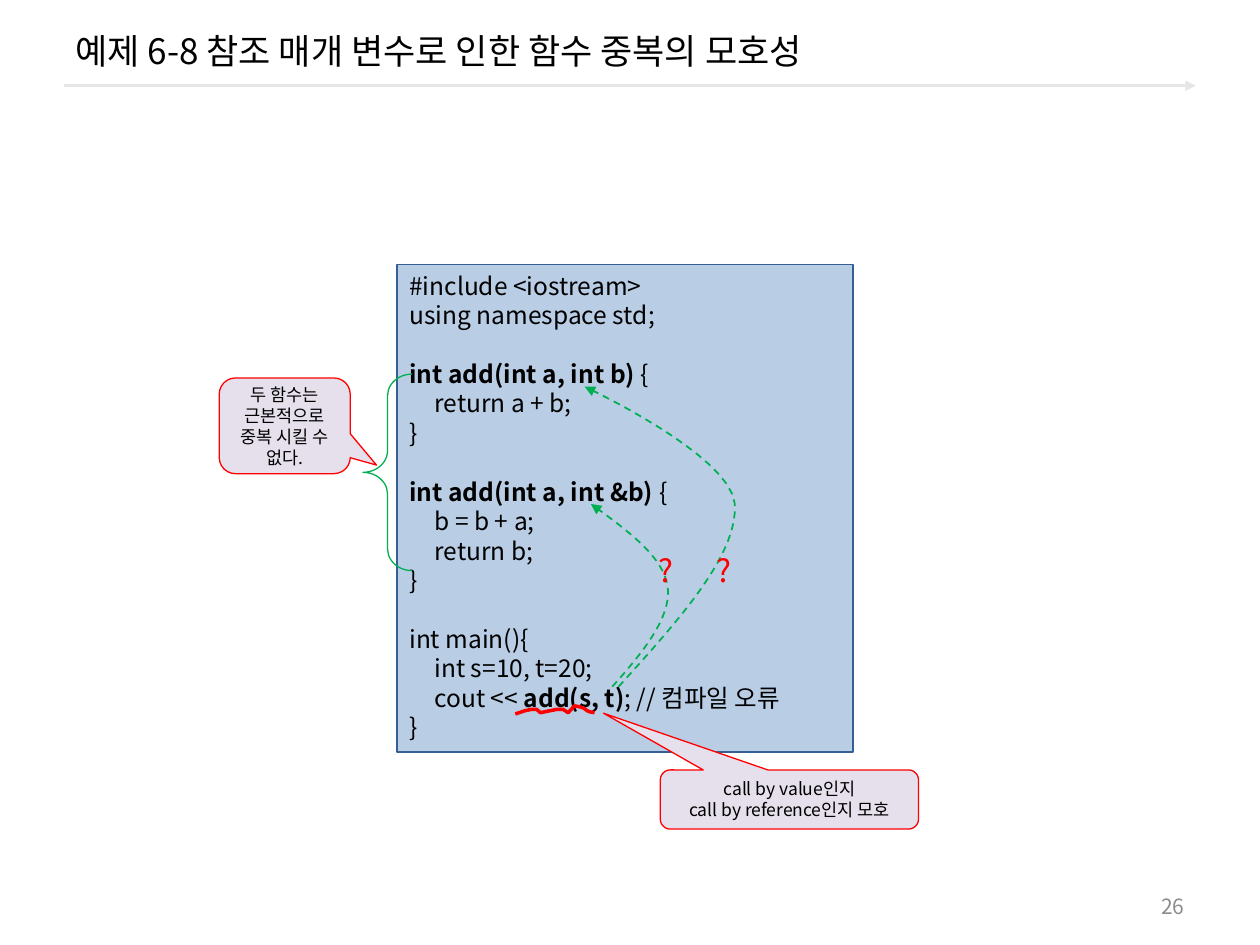
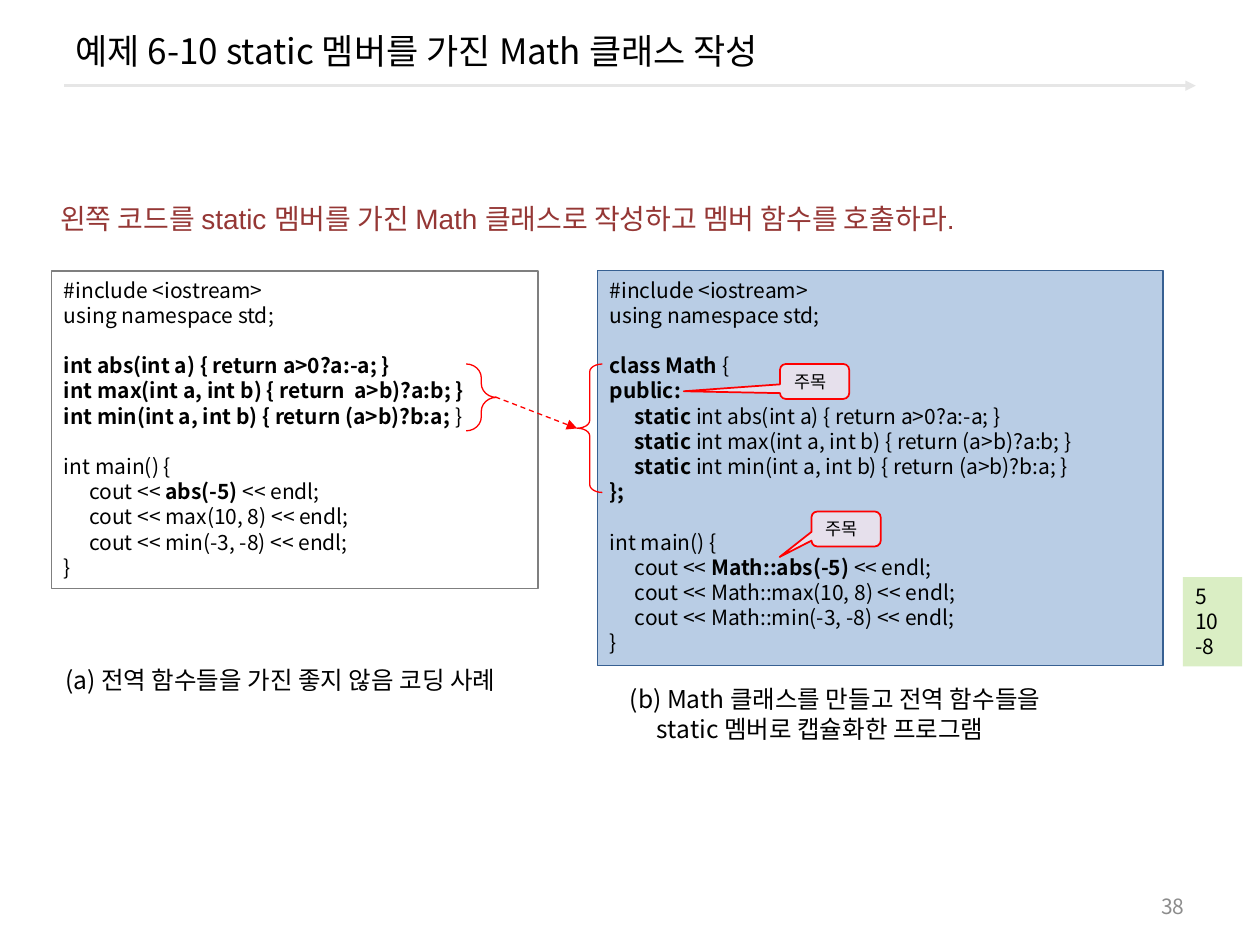
"""Build two C++ lecture slides with code boxes, callouts and arrows."""
from dataclasses import dataclass

from lxml import etree
from pptx import Presentation
from pptx.dml.color import RGBColor
from pptx.enum import dml, shapes, text
from pptx.oxml.ns import qn
from pptx.util import Pt

FONT = "Noto Sans CJK KR"
BLACK, GRAY, RULE, RED, GREEN = "000000", "8C8C8C", "E6E6E6", "FF0000", "00B050"
BLUE_FILL, BLUE_LINE, LILAC, LIME, BROWN = "B9CDE5", "376092", "E6E0EC", "DAEEC4", "953735"
LINE_HEIGHT = 1.2
CODE_TAB = 14.4
LEFT, CENTER, RIGHT = text.PP_ALIGN.LEFT, text.PP_ALIGN.CENTER, text.PP_ALIGN.RIGHT
TOP, MIDDLE = text.MSO_ANCHOR.TOP, text.MSO_ANCHOR.MIDDLE
Shape = shapes.MSO_SHAPE
Point = tuple[float, float]


@dataclass(frozen=True)
class Style:
    """Look of the text in one box."""
    size: float
    color: str = BLACK
    align: text.PP_ALIGN = LEFT
    anchor: text.MSO_ANCHOR = TOP
    font: str = FONT


@dataclass(frozen=True)
class Stroke:
    """Look of an outline or a line."""
    color: str
    width: float = 0.75
    dashed: bool = False
    arrow: bool = False


@dataclass(frozen=True)
class Label:
    """Text box without fill or line."""
    area: tuple[float, float, float, float]
    content: str
    style: Style


@dataclass(frozen=True)
class Block:
    """Preset shape with optional text; ** marks bold spans."""
    area: tuple[float, float, float, float]
    content: str = ""
    style: Style = Style(12)
    fill: str | None = None
    stroke: Stroke | None = None
    kind: Shape = Shape.RECTANGLE
    adjustments: tuple[float, ...] = ()


@dataclass(frozen=True)
class Trace:
    """Open outline through a list of points."""
    points: list[Point]
    stroke: Stroke


def rgb(value: str) -> RGBColor:
    """Turn a hex string into a colour."""
    return RGBColor.from_string(value)


def apply_stroke(shape, stroke: Stroke) -> None:
    """Set colour, width, dash and arrowhead of a line."""
    shape.line.color.rgb = rgb(stroke.color)
    shape.line.width = Pt(stroke.width)
    if stroke.dashed:
        shape.line.dash_style = dml.MSO_LINE.DASH
    if stroke.arrow:
        line = shape._element.spPr.find(qn("a:ln"))
        etree.SubElement(line, qn("a:tailEnd"), type="triangle")


def write(shape, content: str, style: Style) -> None:
    """Write lines into a shape; an empty line becomes space before the next."""
    frame = shape.text_frame
    frame.word_wrap = True
    frame.vertical_anchor = style.anchor
    pitch = Pt(style.size * LINE_HEIGHT)
    para, gap = frame.paragraphs[0], 0
    for line in content.split("\n"):
        if not line:
            gap += pitch
            continue
        if para.runs:
            para = frame.add_paragraph()
        if "\t" in line:
            tabs = etree.SubElement(para._p.get_or_add_pPr(), qn("a:tabLst"))
            etree.SubElement(tabs, qn("a:tab"), pos=str(Pt(CODE_TAB)), algn="l")
        para.alignment = style.align
        para.line_spacing = pitch
        if gap:
            para.space_before, gap = gap, 0
        font = para.font
        font.size, font.name = Pt(style.size), style.font
        font.color.rgb = rgb(style.color)
        etree.SubElement(font._element, qn("a:ea"), typeface=FONT)
        for index, part in enumerate(line.split("**")):
            if part:
                span = para.add_run()
                span.text = part
                if index % 2:
                    span.font.bold = True


def add_label(page, label: Label):
    """Draw a text box."""
    box = page.shapes.add_textbox(*map(Pt, label.area))
    write(box, label.content, label.style)
    return box


def add_block(page, block: Block) -> None:
    """Draw a preset shape."""
    shape = page.shapes.add_shape(block.kind, *map(Pt, block.area))
    shape.shadow.inherit = False
    for index, value in enumerate(block.adjustments):
        shape.adjustments[index] = value
    if block.fill:
        shape.fill.solid()
        shape.fill.fore_color.rgb = rgb(block.fill)
    else:
        shape.fill.background()
    if block.stroke:
        apply_stroke(shape, block.stroke)
    else:
        shape.line.fill.background()
    if block.content:
        write(shape, block.content, block.style)


def add_line(page, start: Point, end: Point, stroke: Stroke) -> None:
    """Draw a straight connector."""
    line = page.shapes.add_connector(shapes.MSO_CONNECTOR.STRAIGHT, *map(Pt, start + end))
    apply_stroke(line, stroke)
    etree.SubElement(line._element.spPr, qn("a:effectLst"))


def add_trace(page, trace: Trace) -> None:
    """Draw an open freeform."""
    points = [(Pt(x), Pt(y)) for x, y in trace.points]
    builder = page.shapes.build_freeform(*points[0])
    builder.add_line_segments(points[1:], close=False)
    shape = builder.convert_to_shape()
    shape.shadow.inherit = False
    shape.fill.background()
    apply_stroke(shape, trace.stroke)


def curve(knots: list[Point], steps: int = 16) -> list[Point]:
    """Sample a chain of cubic Bezier curves."""
    points = [knots[0]]
    for first in range(0, len(knots) - 1, 3):
        for step in range(1, steps + 1):
            t = step / steps
            weights = ((1 - t) ** 3, 3 * t * (1 - t) ** 2, 3 * t * t * (1 - t), t ** 3)
            corners = knots[first:first + 4]
            points.append(tuple(sum(w * c[axis] for w, c in zip(weights, corners))
                                for axis in (0, 1)))
    return points


def callout(area: tuple, content: str, tip: Point, align=CENTER, width: float = 0.75) -> Block:
    """Describe a lilac speech bubble."""
    return Block(area, content, Style(10, align=align, anchor=MIDDLE), LILAC,
                 Stroke(RED, width), Shape.ROUNDED_RECTANGULAR_CALLOUT, (*tip, 0.17))


def brace(area: tuple, kind: Shape, color: str, bend: float) -> Block:
    """Describe a curly brace."""
    return Block(area, stroke=Stroke(color), kind=kind, adjustments=(bend, 0.5))


def add_page(deck, title: str, number: int):
    """Add a page with title, rule and page number."""
    page = deck.slides.add_slide(deck.slide_layouts[6])
    add_line(page, (36.7, 49), (683.3, 49), Stroke(RULE, 1.5, arrow=True))
    add_label(page, Label((36, 5.8, 648, 46), title, Style(20, anchor=MIDDLE)))
    add_label(page, Label((516, 506, 168, 23), str(number),
                          Style(12, GRAY, RIGHT, MIDDLE)))
    return page


OVERLOAD_CODE = """#include <iostream>
using namespace std;

**int add(int a, int b) **{
\treturn a + b;
}

**int add(int a, int &b) **{
\tb = b + a;
\treturn b;
}

int main(){
\tint s=10, t=20;
\tcout << **add(s, t)**; // 컴파일 오류
}"""

GLOBAL_CODE = """#include <iostream>
using namespace std;

**int abs(int a) { return a>0?a:-a; }**
**int max(int a, int b) { return  a>b)?a:b; }**
**int min(int a, int b) { return (a>b)?b:a; **}

int main() {
\tcout << **abs(-5) **<< endl;
\tcout << max(10, 8) << endl;
\tcout << min(-3, -8) << endl;
}"""

STATIC_CODE = """#include <iostream>
using namespace std;

**class Math **{
**public:**
\t**static **int abs(int a) { return a>0?a:-a; }
\t**static **int max(int a, int b) { return (a>b)?a:b; }
\t**static **int min(int a, int b) { return (a>b)?b:a; }
**};**

int main() {
\tcout << **Math::abs(-5) **<< endl;
\tcout << Math::max(10, 8) << endl;
\tcout << Math::min(-3, -8) << endl;
}"""

TO_REFERENCE = [(349.9, 392.4), (367.2, 373), (383.8, 352.8), (381.6, 335.5),
                (379.4, 318.2), (358.6, 303.1), (337.7, 288)]
TO_VALUE = [(353.5, 392.4), (388.1, 354.2), (422.6, 316.1), (419.8, 287.3),
            (416.2, 259.2), (334.1, 221), (334.1, 221)]
SQUIGGLE = [(294.5, 408), (300.2, 406.1), (303.8, 405.4), (306.7, 405.4), (308.9, 407.3),
            (314.6, 406.1), (318.2, 405.4), (321.8, 405.4), (324.7, 407.3), (328.3, 403.4),
            (331.2, 403.9), (333.4, 404.6), (335.5, 406.1), (337, 406.8), (339.8, 407.3)]


def build_ambiguity(deck) -> None:
    """Build the slide on ambiguous overloads."""
    page = add_page(deck, "예제 6-8 참조 매개 변수로 인한 함수 중복의 모호성", 26)
    add_block(page, Block((226.8, 151.2, 260.6, 278.6), OVERLOAD_CODE, Style(14),
                          BLUE_FILL, Stroke(BLUE_LINE)))
    for knots in (TO_REFERENCE, TO_VALUE):
        add_trace(page, Trace(curve(knots), Stroke(GREEN, 1, True, True)))
    add_block(page, callout((377.3, 440, 147.6, 33.8),
                            "call by value인지\ncall by reference인지 모호", (-0.72, -1.46)))
    for left in (369.4, 402.5):
        add_label(page, Label((left, 311.5, 23, 28.8), "?", Style(18, RED)))
    add_block(page, brace((207.4, 213.8, 28.1, 112.3), Shape.LEFT_BRACE, GREEN, 0.44))
    add_block(page, callout((125.3, 216, 74.9, 54.7),
                            "두 함수는 근본적으로\n중복 시킬 수 없다.", (0.7, 0.41)))
    add_trace(page, Trace(SQUIGGLE, Stroke(RED, 2)))


def build_static(deck) -> None:
    """Build the slide on static members."""
    page = add_page(deck, "예제 6-10 static 멤버를 가진 Math 클래스 작성", 38)
    add_block(page, Block((29.5, 154.8, 277.9, 181.4), GLOBAL_CODE,
                          stroke=Stroke("7F7F7F")))
    add_block(page, Block((341.3, 154.8, 323.3, 225.4), STATIC_CODE, fill=BLUE_FILL,
                          stroke=Stroke(BLUE_LINE)))
    add_block(page, brace((266.4, 208, 17.3, 38.2), Shape.RIGHT_BRACE, RED, 0.46))
    add_block(page, brace((329.8, 208, 14.4, 73.4), Shape.LEFT_BRACE, RED, 0.31))
    add_line(page, (283, 226.8), (329.8, 244.8), Stroke(RED, dashed=True, arrow=True))
    add_label(page, Label((30.2, 376.6, 291, 24.5),
                          "(a) 전역 함수들을 가진 좋지 않음 코딩 사례", Style(14)))
    caption = add_label(page, Label(
        (352.8, 387.4, 300, 41),
        "(b) Math 클래스를 만들고 전역 함수들을\nstatic 멤버로 캡슐화한 프로그램", Style(14)))
    caption.text_frame.paragraphs[1]._p.get_or_add_pPr().set("marL", str(Pt(15.5)))
    for left, top, tip in ((463.7, 292.3, (-0.96, 0.8)), (445.7, 208, (-1.89, 0.28))):
        add_block(page, callout((left, top, 39.6, 20), "주목", tip, LEFT, 1))
    add_block(page, Block((676, 329.8, 33.8, 51), "5\n10\n-8", fill=LIME))
    add_label(page, Label(
        (27.4, 111.6, 663, 26.6),
        "왼쪽 코드를 static 멤버를 가진 Math 클래스로 작성하고 멤버 함수를 호출하라.",
        Style(16, BROWN, font="Arial")))


def main() -> None:
    """Build and save the deck."""
    deck = Presentation()
    deck.slide_width, deck.slide_height = Pt(720), Pt(540)
    build_ambiguity(deck)
    build_static(deck)
    deck.save("out.pptx")


if __name__ == "__main__":
    main()
